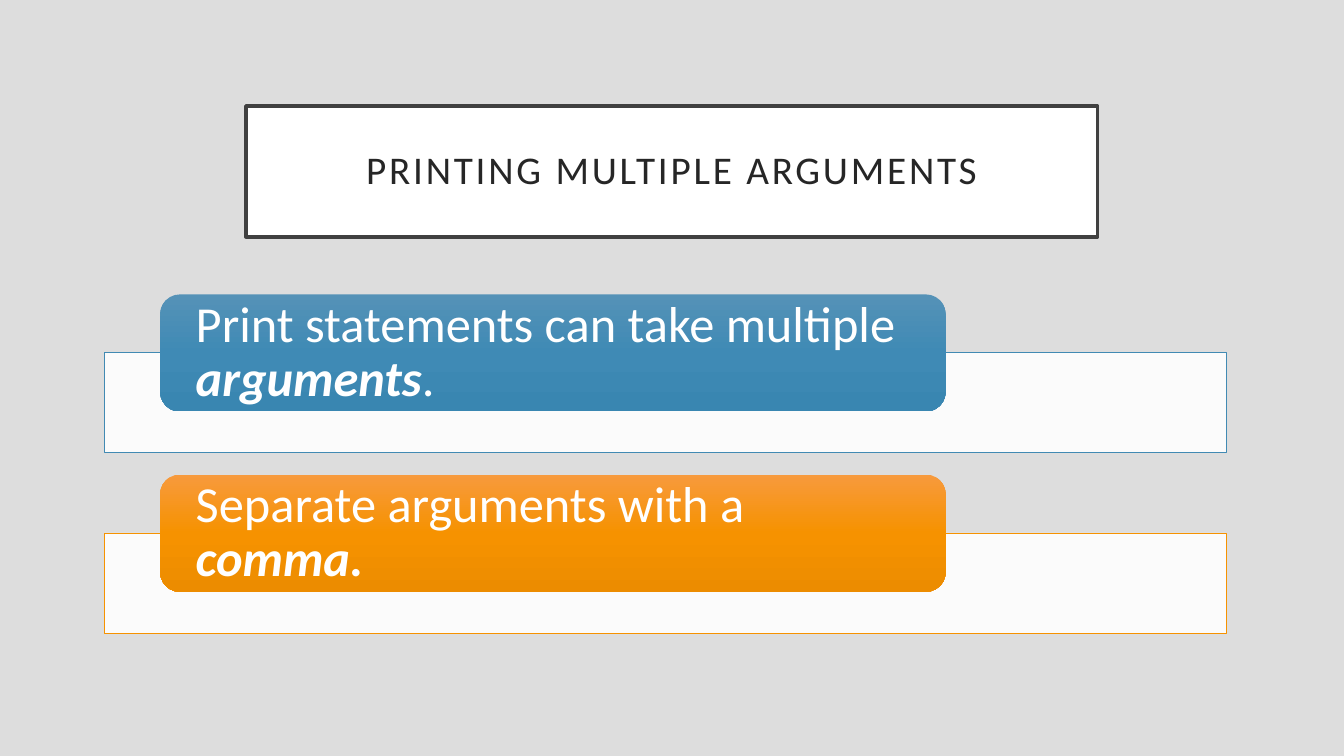
import copy

import pptx
import pptx.dml.color
import pptx.enum.shapes
import pptx.enum.text
import pptx.oxml
import pptx.oxml.ns
import pptx.util

Cm = pptx.util.Cm
Pt = pptx.util.Pt
RGB = pptx.dml.color.RGBColor
SHAPE = pptx.enum.shapes.MSO_SHAPE
ALIGN = pptx.enum.text.PP_ALIGN
qn = pptx.oxml.ns.qn

FONT = "Calibri"
GREY = RGB(0xDD, 0xDD, 0xDD)
WHITE = RGB(0xFF, 0xFF, 0xFF)
FRAME = RGB(0x40, 0x40, 0x40)
INK = RGB(0x26, 0x26, 0x26)
BLUE = RGB(0x41, 0x8A, 0xB3)
BLUES = [RGB(0x55, 0x92, 0xB7), RGB(0x3F, 0x8A, 0xB5), RGB(0x39, 0x86, 0xB1)]
ORANGE = RGB(0xF6, 0x92, 0x00)
ORANGES = [RGB(0xF7, 0x9A, 0x3D), ORANGE, RGB(0xEC, 0x8C, 0x00)]

TOP, PITCH = 7.42, 4.54
# Each point: line colour, gradient colours, runs as (text, strong)
POINTS = [
    (BLUE, BLUES, [("Print statements can take multiple ", False),
                   ("arguments", True), (".", False)]),
    (ORANGE, ORANGES, [("Separate arguments with a ", False),
                       ("comma.", True)]),
]


def add_box(slide, kind, left, top, width, height):
    box = slide.shapes.add_shape(kind, Cm(left), Cm(top), Cm(width), Cm(height))
    box.shadow.inherit = False
    return box


def paint(box, line, weight):
    """Fill the box white and draw its outline."""
    box.fill.solid()
    box.fill.fore_color.rgb = WHITE
    box.line.color.rgb = line
    box.line.width = Pt(weight)


def fade(box, colors):
    """Fill the box from top to bottom with three evenly spaced colours."""
    box.line.fill.background()
    box.fill.gradient()
    box.fill.gradient_angle = 270
    stops = box._element.spPr.find(".//" + qn("a:gsLst"))
    stops.insert(1, copy.deepcopy(stops[0]))
    for i, (stop, color) in enumerate(zip(box.fill.gradient_stops, colors)):
        stop.position = i / 2
        stop.color.rgb = color


def write(box, runs, size, color, align, side, edge):
    """Write runs, with side and edge margins in centimetres."""
    frame = box.text_frame
    frame.word_wrap = True
    frame.vertical_anchor = pptx.enum.text.MSO_ANCHOR.MIDDLE
    frame.margin_left = frame.margin_right = Cm(side)
    frame.margin_top = frame.margin_bottom = Cm(edge)
    para = frame.paragraphs[0]
    para.alignment = align
    para.line_spacing = 0.9
    para.font.name = FONT
    para.font.size = Pt(size)
    para.font.color.rgb = color
    for text, strong in runs:
        run = para.add_run()
        run.text = text
        if strong:
            run.font.bold = run.font.italic = True
    return para


def add_title(slide, text):
    box = add_box(slide, SHAPE.RECTANGLE, 6.2, 2.67, 21.46, 3.3)
    paint(box, FRAME, 2.5)
    para = write(box, [(text, False)], 28, INK, ALIGN.CENTER, 0.51, 0.51)
    para.runs[0].font._element.set("spc", "200")


def add_point(slide, top, line, colors, runs):
    """Add a pale bar with a rounded label over its upper edge."""
    bar = add_box(slide, SHAPE.RECTANGLE, 2.64, top + 1.47, 28.27, 2.52)
    paint(bar, line, 0.5)
    tone = bar._element.spPr.find(qn("a:solidFill"))[0]
    pptx.oxml.ns  # namespace helpers are used through qn
    tone.append(tone.makeelement(qn("a:alpha"), {"val": "90000"}))
    label = add_box(slide, SHAPE.ROUNDED_RECTANGLE, 4.04, top, 19.79, 2.95)
    fade(label, colors)
    write(label, runs, 36, WHITE, ALIGN.LEFT, 0.75, 0)


def main():
    deck = pptx.Presentation()
    deck.slide_width, deck.slide_height = Cm(33.87), Cm(19.05)
    slide = deck.slides.add_slide(deck.slide_layouts[6])
    slide.background.fill.solid()
    slide.background.fill.fore_color.rgb = GREY
    add_title(slide, "PRINTING MULTIPLE ARGUMENTS")
    for i, point in enumerate(POINTS):
        add_point(slide, TOP + i * PITCH, *point)
    deck.save("out.pptx")


if __name__ == "__main__":
    main()
